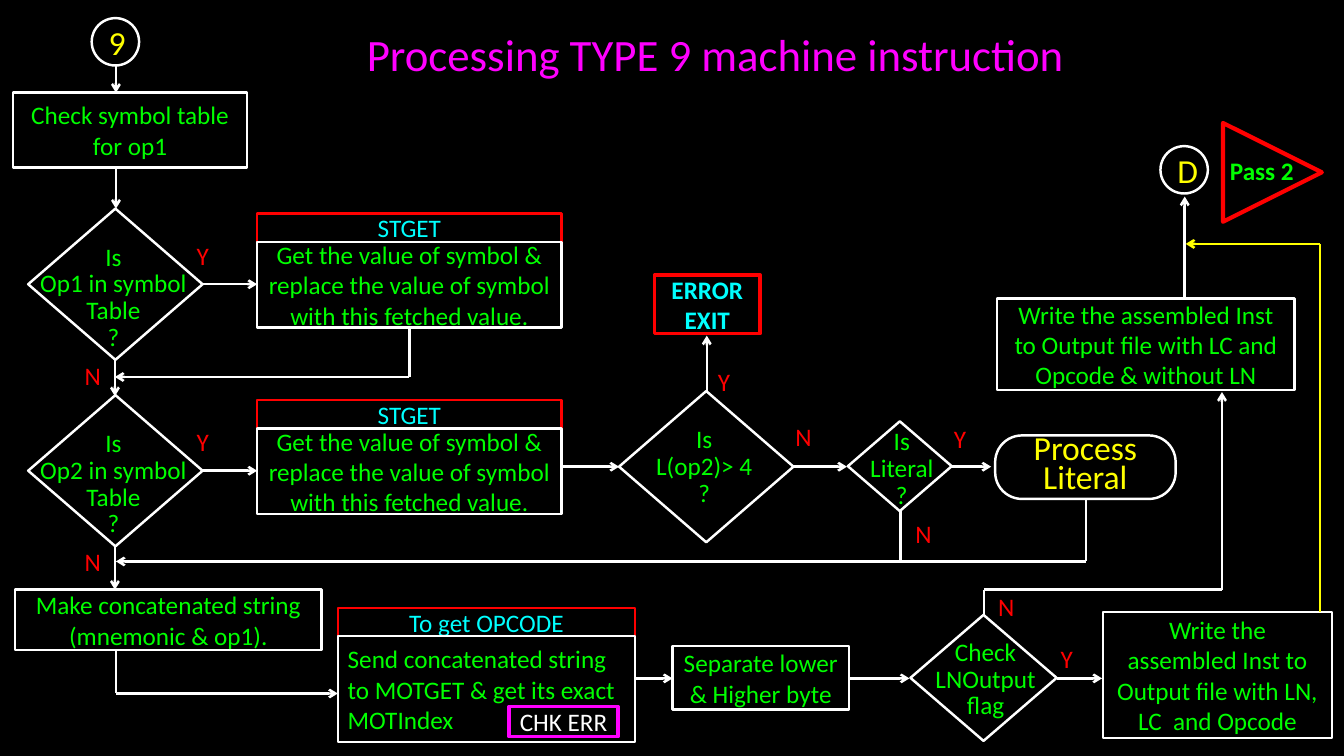
import lxml.etree
import pptx
import pptx.dml.color
import pptx.enum.shapes
import pptx.enum.text
import pptx.oxml.ns
import pptx.util

Inches = pptx.util.Inches
Pt = pptx.util.Pt
SHAPES = pptx.enum.shapes.MSO_SHAPE
ALIGN = pptx.enum.text.PP_ALIGN
ANCHOR = pptx.enum.text.MSO_ANCHOR

BLACK, WHITE, RED, GREEN = "000000", "FFFFFF", "FF0000", "00FF00"
CYAN, YELLOW, MAGENTA = "00FFFF", "FFFF00", "FF00FF"
CAPTION_HEIGHT = 0.28
FETCH_TEXT = "Get the value of symbol & replace the value of symbol with this fetched value."


def color(value):
    """Turn a hex string into a colour."""
    return pptx.dml.color.RGBColor.from_string(value)


def write(frame, lines, ink, size=18, align=ALIGN.CENTER, bold=False, spacing=None):
    """Fill a text frame with one paragraph for each line."""
    frame.word_wrap = True
    for index, line in enumerate(lines):
        para = frame.add_paragraph() if index else frame.paragraphs[0]
        para.text = line
        para.alignment = align
        para.font.name = "Calibri"
        para.font.size = Pt(size)
        para.font.bold = bold
        para.font.color.rgb = color(ink)
        if spacing:
            para.line_spacing = Pt(spacing)


def outline(page, kind, box, edge=WHITE, width=1.75):
    """Add an unfilled preset shape."""
    shape = page.shapes.add_shape(kind, *map(Inches, box))
    shape.shadow.inherit = False
    shape.fill.background()
    shape.line.color.rgb = color(edge)
    shape.line.width = Pt(width)
    return shape


def block(page, box, lines, ink=GREEN, edge=WHITE, width=1.75, kind=SHAPES.RECTANGLE, **style):
    """Add an outlined shape with text in its middle."""
    shape = outline(page, kind, box, edge, width)
    shape.text_frame.vertical_anchor = ANCHOR.MIDDLE
    write(shape.text_frame, lines, ink, **style)
    return shape


def captioned(page, box, caption, body, **style):
    """Add a process block under a routine name."""
    left, top, width, height = box
    block(page, (left, top, width, CAPTION_HEIGHT), [caption], CYAN, RED)
    block(page, (left, top + CAPTION_HEIGHT, width, height - CAPTION_HEIGHT), [body], **style)


def circle(page, left, top, mark):
    """Add a round connector with its mark."""
    block(page, (left, top, 0.47, 0.47), [mark], YELLOW,
          kind=SHAPES.FLOWCHART_CONNECTOR, size=24)


def words(page, box, lines, ink, margin=True, **style):
    """Add a text box."""
    frame = page.shapes.add_textbox(*map(Inches, box)).text_frame
    if not margin:
        frame.margin_left = frame.margin_right = frame.margin_top = frame.margin_bottom = 0
    write(frame, lines, ink, **style)


def answer(page, left, top, letter):
    """Add the letter beside a branch."""
    words(page, (left, top, 0.4, 0.3), [letter], RED, margin=False, align=ALIGN.LEFT)


def decision(page, box, lines, drop=0.31, shift=-0.02):
    """Add a diamond and the question over it."""
    left, top, width, height = box
    outline(page, SHAPES.DIAMOND, box)
    words(page, (left + shift - 0.12, top + drop, width + 0.24, 0.1 + len(lines) * 0.26),
          lines, GREEN, spacing=19)


def route(page, *points, edge=WHITE, arrow=True):
    """Join points with straight lines and point the last one."""
    for start, end in zip(points, points[1:]):
        line = page.shapes.add_connector(pptx.enum.shapes.MSO_CONNECTOR.STRAIGHT,
                                         *map(Inches, start + end))
        line.line.color.rgb = color(edge)
        line.line.width = Pt(1.75)
        properties = line.element.spPr
        if arrow and end == points[-1]:
            stroke = properties.find(pptx.oxml.ns.qn("a:ln"))
            lxml.etree.SubElement(stroke, pptx.oxml.ns.qn("a:tailEnd"), type="arrow")
        lxml.etree.SubElement(properties, pptx.oxml.ns.qn("a:effectLst"))


def entry(page, left, top):
    """Draw the entry point and the first table check."""
    axis = left + 1.02
    circle(page, left + 0.78, top, "9")
    route(page, (axis, top + 0.47), (axis, top + 0.74))
    block(page, (left, top + 0.74, 2.32, 0.74), ["Check symbol table for op1"])
    route(page, (axis, top + 1.49), (axis, top + 1.89))


def operand(page, left, top, name, exit_length):
    """Draw the symbol test of one operand and its fetch."""
    axis, middle = left + 0.86, top + 0.75
    decision(page, (left, top, 1.73, 1.5), ["Is", f"{name} in symbol", "Table", "?"])
    answer(page, left + 1.67, top + 0.31, "Y")
    route(page, (left + 1.73, middle), (left + 2.27, middle))
    captioned(page, (left + 2.27, top + 0.05, 3.02, 1.13), "STGET", FETCH_TEXT)
    answer(page, left + 0.56, top + 1.5, "N")
    route(page, (axis, top + 1.5), (axis, top + 1.5 + exit_length))


def literal(page, left, top):
    """Draw the length test, the literal test and their exits."""
    middle = top + 1.9
    route(page, (left, middle), (left + 0.57, middle))
    decision(page, (left + 0.57, top + 1.15, 1.73, 1.5), ["Is", "L(op2)> 4", "?"])
    answer(page, left + 1.55, top + 0.9, "Y")
    route(page, (left + 1.44, top + 1.15), (left + 1.44, top + 0.6))
    block(page, (left + 0.92, top, 1.05, 0.58), ["ERROR", "EXIT"], CYAN, RED, 2.5, bold=True)
    answer(page, left + 2.32, top + 1.45, "N")
    route(page, (left + 2.3, middle), (left + 2.83, middle))
    decision(page, (left + 2.84, top + 1.45, 1.03, 0.89), ["Is", "Literal", "?"], 0.03, 0.02)
    answer(page, left + 3.89, top + 1.47, "Y")
    route(page, (left + 3.85, middle), (left + 4.26, middle))
    process = block(page, (left + 4.3, top + 1.59, 1.79, 0.63), ["Process Literal"], YELLOW,
                    kind=SHAPES.ROUNDED_RECTANGLE, size=24, spacing=21)
    process.adjustments[0] = 0.42
    answer(page, left + 3.51, top + 2.41, "N")
    route(page, (left + 3.36, top + 2.34), (left + 3.36, top + 2.84), arrow=False)
    route(page, (left + 5.2, top + 2.22), (left + 5.2, top + 2.84), (left - 4.42, top + 2.84))


def opcode(page, left, top):
    """Draw the lookup of the opcode and the split into bytes."""
    middle = top + 0.88
    block(page, (left, top, 3.04, 0.6), ["Make concatenated string (mnemonic & op1)."])
    route(page, (left + 1, top + 0.6), (left + 1, top + 1.03), (left + 3.2, top + 1.03))
    captioned(page, (left + 3.2, top + 0.18, 2.95, 1.33), "To get OPCODE",
              "Send concatenated string to MOTGET & get its exact MOTIndex", align=ALIGN.LEFT)
    block(page, (left + 4.9, top + 1.16, 1.08, 0.3), ["CHK ERR"], WHITE, MAGENTA, 2.5)
    route(page, (left + 6.15, middle), (left + 6.52, middle))
    block(page, (left + 6.52, top + 0.56, 1.75, 0.63), ["Separate lower & Higher byte"])
    route(page, (left + 8.27, middle), (left + 8.87, middle))


def output(page, left, top):
    """Draw the flag test, both ways to write and the way to pass 2."""
    middle = top + 5.51
    decision(page, (left, top + 4.88, 1.45, 1.25), ["Check", "LNOutput", "flag"], 0.2, 0.02)
    answer(page, left + 1.49, top + 5.16, "Y")
    route(page, (left + 1.45, middle), (left + 1.9, middle))
    block(page, (left + 1.91, top + 4.85, 2.27, 1.25),
          ["Write the assembled Inst to Output file with LN, LC  and Opcode"])
    answer(page, left + 0.87, top + 4.65, "N")
    route(page, (left + 0.73, top + 4.88), (left + 0.73, top + 4.63),
          (left + 3.09, top + 4.63), (left + 3.09, top + 2.67))
    block(page, (left + 0.86, top + 1.74, 2.95, 0.91),
          ["Write the assembled Inst to Output file with LC and Opcode & without LN"])
    route(page, (left + 2.72, top + 1.74), (left + 2.72, top + 0.73))
    route(page, (left + 4.06, top + 4.85), (left + 4.06, top + 1.2),
          (left + 2.73, top + 1.2), edge=YELLOW)
    circle(page, left + 2.48, top + 0.23, "D")
    triangle = outline(page, SHAPES.FLOWCHART_EXTRACT, (left + 3.1, top, 0.98, 0.98), RED, 3)
    triangle.rotation = 90
    words(page, (left + 3.07, top + 0.27, 0.93, 0.4), ["Pass 2"], GREEN,
          align=ALIGN.LEFT, bold=True)


def main():
    """Build the flowchart slide and save the deck."""
    deck = pptx.Presentation()
    deck.slide_width, deck.slide_height = Inches(13.33), Inches(7.5)
    page = deck.slides.add_slide(deck.slide_layouts[6])
    page.background.fill.solid()
    page.background.fill.fore_color.rgb = color(BLACK)
    words(page, (3.54, 0.22, 7.27, 0.64), ["Processing TYPE 9 machine instruction"],
          MAGENTA, size=32, align=ALIGN.LEFT)
    entry(page, 0.13, 0.18)
    operand(page, 0.28, 2.07, "Op1", 0.36)
    route(page, (4.06, 3.26), (4.06, 3.74), (1.14, 3.74))
    operand(page, 0.28, 3.92, "Op2", 0.43)
    literal(page, 5.57, 2.73)
    opcode(page, 0.15, 5.85)
    output(page, 9.03, 1.22)
    deck.save("out.pptx")


main()
